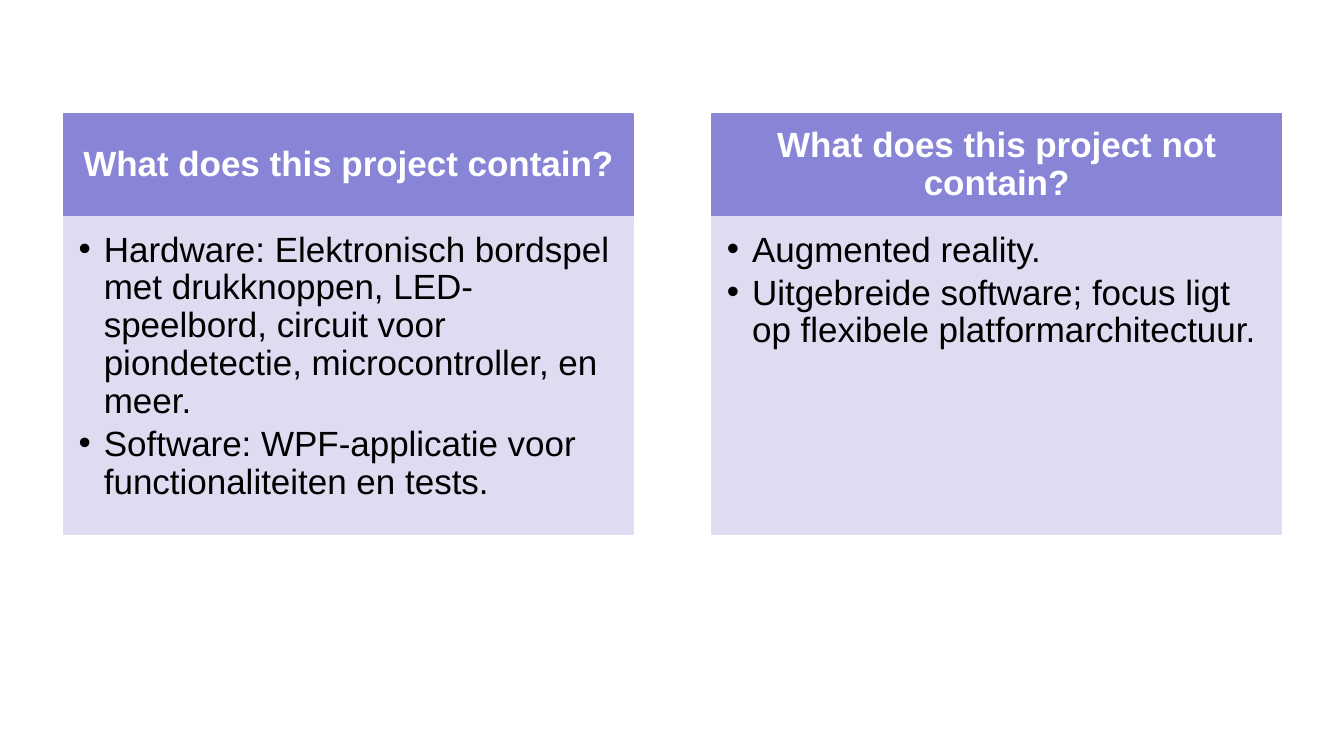
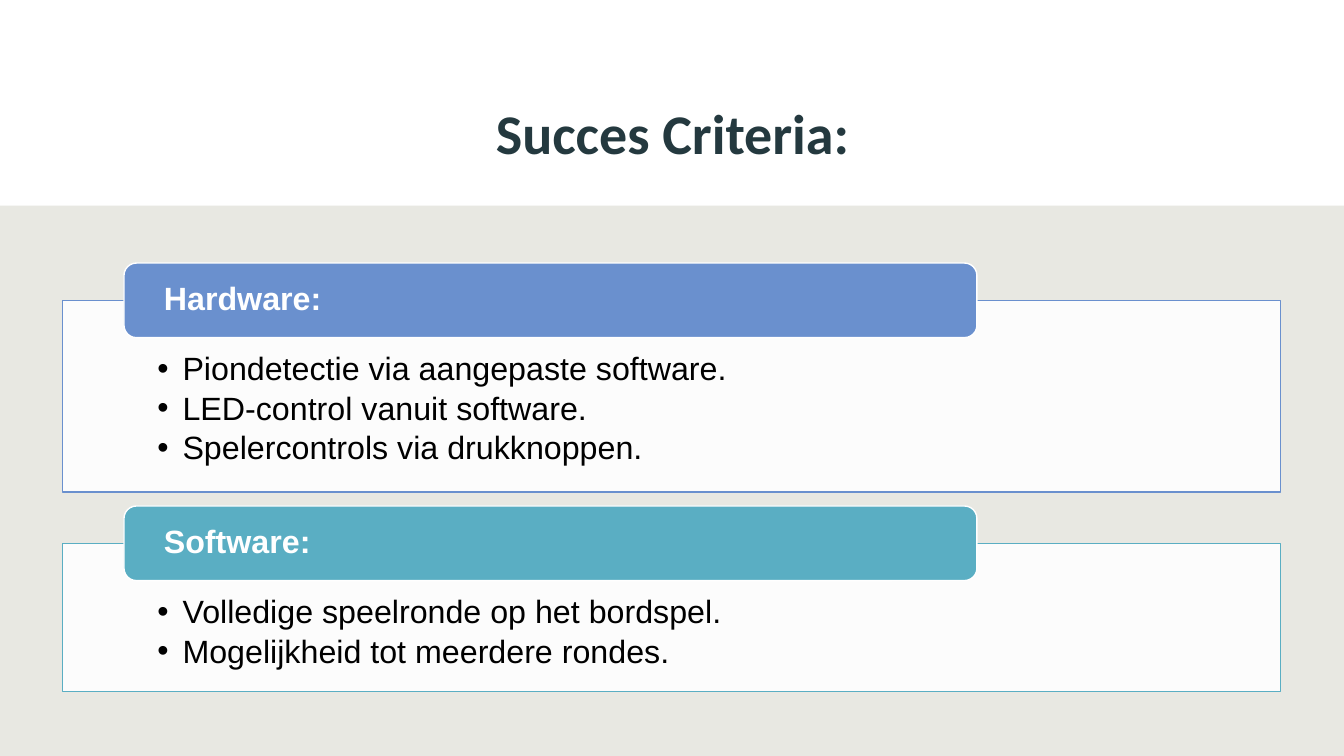
from pptx import Presentation
from pptx import util as u
from pptx.dml.color import RGBColor
from pptx.enum import shapes, text
from pptx.oxml.ns import qn
from lxml import etree

WHITE, BLACK = "FFFFFF", "000000"
TITLE_COLOUR, BAND = "24393F", "E8E8E2"
PURPLE, PALE_PURPLE, PALE_PURPLE_LINE = "8885D7", "DAD9F0", "DEDDF2"
BLUE, TEAL = "6A90CE", "5AAEC3"
RECTANGLE = shapes.MSO_SHAPE.RECTANGLE
ROUNDED = shapes.MSO_SHAPE.ROUNDED_RECTANGLE
LEFT, CENTER = text.PP_ALIGN.LEFT, text.PP_ALIGN.CENTER


def add_box(slide, kind, place, fill, line=None, opacity=100):
    shape = slide.shapes.add_shape(kind, *[u.Inches(value) for value in place])
    shape.shadow.inherit = False
    shape.fill.solid()
    shape.fill.fore_color.rgb = RGBColor.from_string(fill)
    if opacity < 100:
        colour = shape.fill._xPr.find(qn("a:solidFill"))[0]
        etree.SubElement(colour, qn("a:alpha"), val=str(opacity * 1000))
    if line:
        shape.line.color.rgb = RGBColor.from_string(line)
        shape.line.width = u.Pt(1)
    else:
        shape.line.fill.background()
    return shape


def write(shape, lines, size, colour, insets, align=LEFT, bold=False,
          bullets=False, font="Arial", spacing=0.9):
    frame = shape.text_frame
    frame.word_wrap = True
    frame.vertical_anchor = text.MSO_ANCHOR.TOP if bullets else text.MSO_ANCHOR.MIDDLE
    frame.margin_left, frame.margin_top, frame.margin_right, frame.margin_bottom = [
        u.Inches(inset) for inset in insets]
    for index, line in enumerate(lines):
        paragraph = frame.paragraphs[0] if index == 0 else frame.add_paragraph()
        paragraph.text = line
        paragraph.alignment = align
        paragraph.line_spacing = spacing
        if bullets:
            paragraph.space_after = u.Pt(round(size * 0.15, 1))
            properties = paragraph._p.get_or_add_pPr()
            properties.set("marL", str(u.Inches(0.25)))
            properties.set("indent", str(-u.Inches(0.25)))
            etree.SubElement(properties, qn("a:buFont"), typeface="Arial")
            etree.SubElement(properties, qn("a:buChar"), char="•")
        paragraph.font.name = font
        paragraph.font.size = u.Pt(size)
        paragraph.font.bold = bold
        paragraph.font.color.rgb = RGBColor.from_string(colour)


presentation = Presentation()
presentation.slide_width = u.Inches(13.33)
presentation.slide_height = u.Inches(7.5)
blank = presentation.slide_layouts[6]

scope_slide = presentation.slides.add_slide(blank)
columns = [
    ("What does this project contain?", [
        "Hardware: Elektronisch bordspel met drukknoppen, LED-speelbord, "
        "circuit voor piondetectie, microcontroller, en meer.",
        "Software: WPF-applicatie voor functionaliteiten en tests."]),
    ("What does this project not contain?", [
        "Augmented reality.",
        "Uitgebreide software; focus ligt op flexibele platformarchitectuur."]),
]
for index, (heading, points) in enumerate(columns):
    left = 0.63 + index * 6.43
    header = add_box(scope_slide, RECTANGLE, (left, 1.13, 5.65, 1.02), PURPLE, PURPLE)
    write(header, [heading], 25, WHITE, (0.19, 0.11, 0.19, 0.11), CENTER, bold=True)
    body = add_box(scope_slide, RECTANGLE, (left, 2.15, 5.65, 3.15),
                   PALE_PURPLE, PALE_PURPLE_LINE, opacity=90)
    write(body, points, 25, BLACK, (0.15, 0.15, 0.19, 0.22), bullets=True)

criteria_slide = presentation.slides.add_slide(blank)
title = criteria_slide.shapes.add_textbox(
    u.Inches(1.56), u.Inches(0.77), u.Inches(10.22), u.Inches(1.09))
write(title, ["Succes Criteria:"], 40, TITLE_COLOUR, (0.1, 0.05, 0.1, 0.05), CENTER,
      bold=True, font="Calibri", spacing=1.0)
add_box(criteria_slide, RECTANGLE, (0, 2.04, 13.33, 5.46), BAND)

criteria = [
    ("Hardware:", BLUE, 2.98, 1.9, [
        "Piondetectie via aangepaste software.",
        "LED-control vanuit software.",
        "Spelercontrols via drukknoppen."]),
    ("Software:", TEAL, 5.39, 1.47, [
        "Volledige speelronde op het bordspel.",
        "Mogelijkheid tot meerdere rondes."]),
]
for heading, colour, top, height, points in criteria:
    body = add_box(criteria_slide, RECTANGLE, (0.62, top, 12.08, height),
                   WHITE, colour, opacity=90)
    write(body, points, 23, BLACK, (0.94, 0.52, 0.94, 0.18), bullets=True)
    label = add_box(criteria_slide, ROUNDED, (1.23, top - 0.37, 8.46, 0.74), colour, WHITE)
    write(label, [heading], 23, WHITE, (0.36, 0, 0.36, 0), bold=True)

presentation.save("out.pptx")
